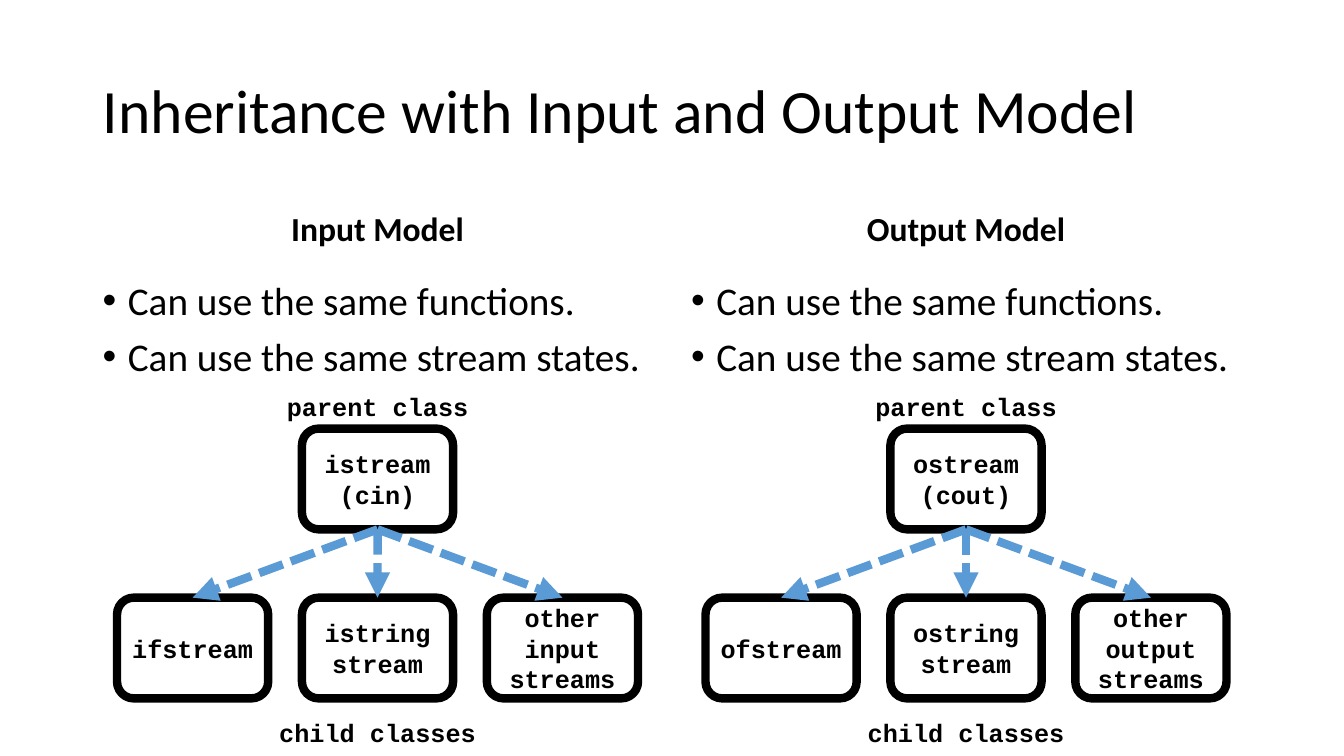
import pptx
import pptx.util
import pptx.dml.color
import pptx.enum.dml
import pptx.enum.shapes
import pptx.enum.text
from lxml import etree
from pptx.oxml.ns import qn

Cm, Pt = pptx.util.Cm, pptx.util.Pt
ALIGN = pptx.enum.text.PP_ALIGN
ANCHOR = pptx.enum.text.MSO_ANCHOR
COLOURS = {"ink": "000000", "paper": "FFFFFF", "arrow": "5B9BD5"}

# Sizes in centimetres
COLUMN_LEFT, COLUMN_TOP, COLUMN_STEP, COLUMN_WIDTH = 2.34, 4.67, 14.83, 14.35
NODE_WIDTH, NODE_HEIGHT, NODE_STEP = 3.81, 2.54, 4.66
TREE_WIDTH = NODE_WIDTH + 2 * NODE_STEP

POINTS = ["Can use the same functions.", "Can use the same stream states."]
MODELS = [
    ("Input Model", ["istream", "(cin)"],
     ["ifstream", "istring stream", "other input streams"]),
    ("Output Model", ["ostream", "(cout)"],
     ["ofstream", "ostring stream", "other output streams"]),
]


def colour(name):
    return pptx.dml.color.RGBColor.from_string(COLOURS[name])


def write(shape, lines, size, name="Calibri", bold=False, align=ALIGN.CENTER,
          anchor=ANCHOR.MIDDLE, spacing=None, before=0, bullet=False):
    frame = shape.text_frame
    frame.word_wrap = True
    frame.auto_size = pptx.enum.text.MSO_AUTO_SIZE.NONE
    frame.vertical_anchor = anchor
    frame.text = "\n".join(lines)
    for index, paragraph in enumerate(frame.paragraphs):
        paragraph.alignment = align
        if spacing:
            paragraph.line_spacing = spacing
        paragraph.space_before = Pt(before if index else 0)
        if bullet:
            properties = paragraph._p.get_or_add_pPr()
            properties.set("marL", str(Cm(0.635)))
            properties.set("indent", str(-Cm(0.635)))
            etree.SubElement(properties, qn("a:buFont")).set("typeface", "Arial")
            etree.SubElement(properties, qn("a:buChar")).set("char", "•")
        font = paragraph.font
        font.name, font.size, font.bold = name, Pt(size), bold
        font.color.rgb = colour("ink")


def add_text(page, left, top, width, height, lines, size, **style):
    box = page.shapes.add_textbox(Cm(left), Cm(top), Cm(width), Cm(height))
    write(box, lines, size, **style)


def add_title(page, left, top, width, height):
    title = page.shapes.title
    title.left, title.top = Cm(left), Cm(top)
    title.width, title.height = Cm(width), Cm(height)
    write(title, ["Inheritance with Input and Output Model"], 44,
          align=ALIGN.LEFT, spacing=0.9)


def add_node(page, left, top, lines):
    node = page.shapes.add_shape(
        pptx.enum.shapes.MSO_SHAPE.ROUNDED_RECTANGLE,
        Cm(left), Cm(top), Cm(NODE_WIDTH), Cm(NODE_HEIGHT))
    node.shadow.inherit = False
    node.fill.solid()
    node.fill.fore_color.rgb = colour("paper")
    node.line.color.rgb = colour("ink")
    node.line.width = Pt(6)
    write(node, lines, 18, name="Courier New", bold=True)


def add_arrow(page, start_x, start_y, end_x, end_y):
    arrow = page.shapes.add_connector(
        pptx.enum.shapes.MSO_CONNECTOR.STRAIGHT,
        Cm(start_x), Cm(start_y), Cm(end_x), Cm(end_y))
    arrow.line.color.rgb = colour("arrow")
    arrow.line.width = Pt(6)
    arrow.line.dash_style = pptx.enum.dml.MSO_LINE.SQUARE_DOT
    etree.SubElement(arrow.line._get_or_add_ln(), qn("a:tailEnd")).set("type", "triangle")
    etree.SubElement(arrow._element.spPr, qn("a:effectLst"))


def add_tree(page, left, top, parent, children):
    parent_top, child_top = top + 1.06, top + 5.32
    centre = left + TREE_WIDTH / 2
    for label, label_top in (("parent class", top), ("child classes", top + 8.2)):
        add_text(page, left, label_top, TREE_WIDTH, 1.02, [label], 18,
                 name="Courier New", bold=True, anchor=ANCHOR.TOP)
    add_node(page, centre - NODE_WIDTH / 2, parent_top, parent)
    child_lefts = [left + index * NODE_STEP for index in range(len(children))]
    for child_left, child in zip(child_lefts, children):
        add_node(page, child_left, child_top, [child])
    for child_left in child_lefts:
        add_arrow(page, centre, parent_top + NODE_HEIGHT,
                  child_left + NODE_WIDTH / 2, child_top)


def add_model(page, left, top, width, heading, parent, children):
    add_text(page, left, top, width, 2.29, [heading], 24, bold=True, spacing=0.9)
    add_text(page, left, top + 2.29, width, 2.97, POINTS, 28, align=ALIGN.LEFT,
             anchor=ANCHOR.TOP, spacing=0.9, before=10, bullet=True)
    add_tree(page, left + 0.61, top + 5.07, parent, children)


def main():
    deck = pptx.Presentation()
    deck.slide_width, deck.slide_height = Cm(33.87), Cm(19.05)
    page = deck.slides.add_slide(deck.slide_layouts[5])
    add_title(page, COLUMN_LEFT, 1.02, 29.21, 3.68)
    for index, model in enumerate(MODELS):
        add_model(page, COLUMN_LEFT + index * COLUMN_STEP, COLUMN_TOP,
                  COLUMN_WIDTH, *model)
    deck.save("out.pptx")


if __name__ == "__main__":
    main()
